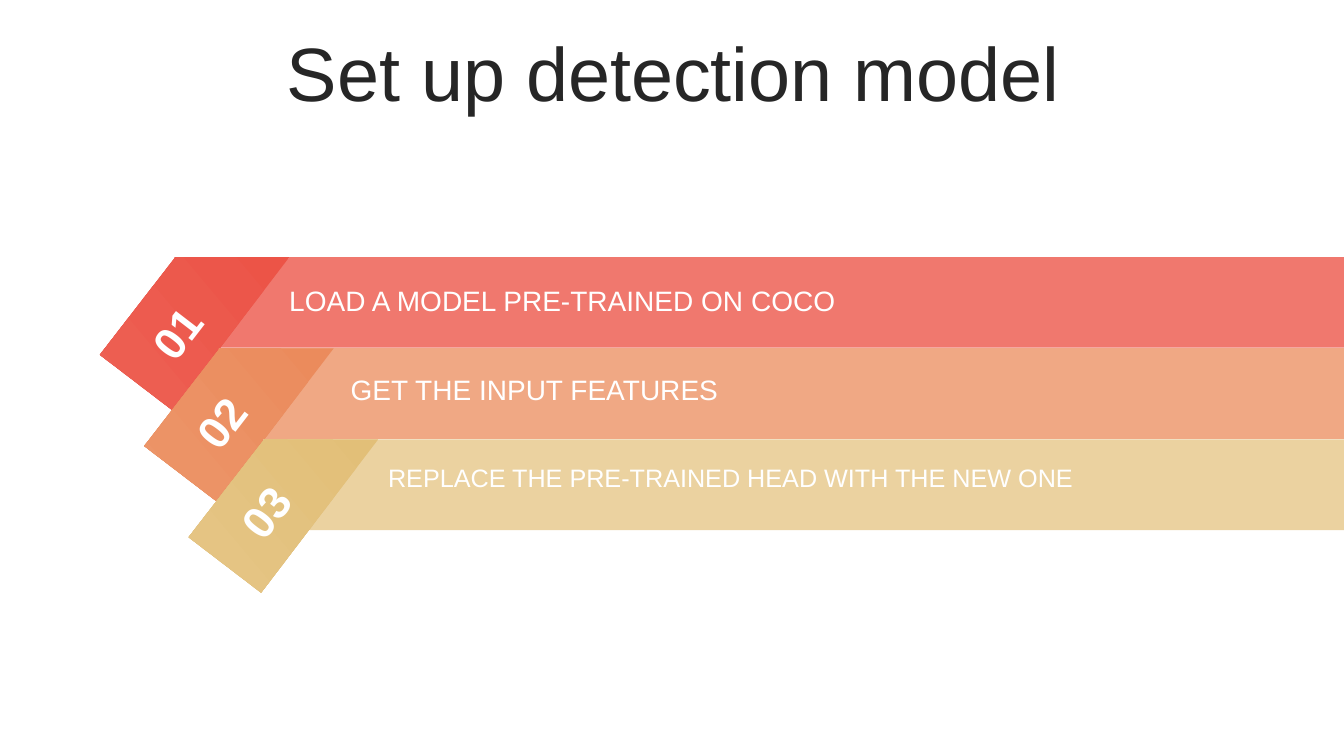
from dataclasses import dataclass
from typing import Any

from pptx import Presentation
from pptx.dml.color import RGBColor
from pptx.enum.shapes import MSO_SHAPE
from pptx.enum.text import MSO_ANCHOR, PP_ALIGN
from pptx.util import Inches, Pt

WHITE = RGBColor(0xFF, 0xFF, 0xFF)
INK = RGBColor(0x26, 0x26, 0x26)
CORAL = RGBColor(0xF0, 0x78, 0x6E)
RED_DEEP = RGBColor(0xEC, 0x54, 0x47)
RED = RGBColor(0xED, 0x60, 0x54)
PEACH = RGBColor(0xF0, 0xA8, 0x84)
ORANGE_DEEP = RGBColor(0xEB, 0x8B, 0x5C)
ORANGE = RGBColor(0xEC, 0x95, 0x69)
SAND = RGBColor(0xEB, 0xD2, 0xA0)
GOLD_DEEP = RGBColor(0xE2, 0xBF, 0x78)
GOLD = RGBColor(0xE5, 0xC5, 0x85)

# Grid in inches: each step moves one column right and one row down
PAGE_WIDTH, PAGE_HEIGHT = 13.33, 7.5
COLUMN, ROW, TEXT_ROW = 0.44, 0.905, 0.89
BAR_LEFT, BAR_TOP, BAR_HEIGHT = 1.73, 2.55, 0.9
TAB_LEFT = 0.99
TAB_OUTLINE = [(0, 0.97), (0.72, 1.52), (1.88, 0), (0.75, 0)]
NUMBER_LEFT, NUMBER_TOP = 1.22, 2.98
CAPTION_TOP = 2.76


@dataclass(frozen=True)
class Step:
    caption: str
    caption_left: float
    caption_size: int
    bar: RGBColor
    tab_colors: tuple[RGBColor, RGBColor]


STEPS = [
    Step("LOAD A MODEL PRE-TRAINED ON COCO", 2.77, 20, CORAL, (RED_DEEP, RED)),
    Step("GET THE INPUT FEATURES", 3.38, 20, PEACH, (ORANGE_DEEP, ORANGE)),
    Step("REPLACE THE PRE-TRAINED HEAD WITH THE NEW ONE", 3.75, 18, SAND, (GOLD_DEEP, GOLD)),
]


def write(box: Any, text: str, align: PP_ALIGN, size: int, color: RGBColor, bold: bool = False) -> None:
    box.text_frame.word_wrap = True
    para = box.text_frame.paragraphs[0]
    para.alignment = align
    span = para.add_run()
    span.text = text
    for name, value in {"name": "Arial", "size": Pt(size), "bold": bold}.items():
        setattr(span.font, name, value)
    span.font.color.rgb = color


def draw_title(page: Any, text: str) -> None:
    title = page.shapes.title
    place = {"left": 0.35, "top": 0.37, "width": 12.66, "height": 0.79}
    for name, value in place.items():
        setattr(title, name, Inches(value))
    title.text_frame.vertical_anchor = MSO_ANCHOR.MIDDLE
    write(title, text, PP_ALIGN.CENTER, 54, INK)
    title.text_frame.paragraphs[0].line_spacing = 0.9


def draw_band(page: Any, index: int, step: Step) -> None:
    band = page.shapes.add_group_shape()
    shift = index * COLUMN
    top = BAR_TOP + index * ROW

    # Bar running to the right edge of the slide
    left = BAR_LEFT + shift
    bar = band.shapes.add_shape(
        MSO_SHAPE.RECTANGLE, Inches(left), Inches(top), Inches(PAGE_WIDTH - left), Inches(BAR_HEIGHT)
    )
    bar.fill.solid()
    bar.fill.fore_color.rgb = step.bar

    # Slanted tab with a gradient
    corners = [(Inches(TAB_LEFT + shift + x), Inches(top + y)) for x, y in TAB_OUTLINE]
    outline = band.shapes.build_freeform(*corners[0])
    outline.add_line_segments(corners[1:], close=True)
    tab = outline.convert_to_shape()
    tab.fill.gradient()
    tab.fill.gradient_angle = 220
    for stop, color in zip(tab.fill.gradient_stops, step.tab_colors):
        stop.color.rgb = color

    for shape in (bar, tab):
        shape.line.fill.background()
        shape.shadow.inherit = False


def draw_texts(page: Any, index: int, step: Step) -> None:
    drop = index * TEXT_ROW
    number = page.shapes.add_textbox(
        Inches(NUMBER_LEFT + index * COLUMN), Inches(NUMBER_TOP + drop), Inches(1.06), Inches(0.64)
    )
    number.rotation = 307.5
    write(number, f"{index + 1:02}", PP_ALIGN.CENTER, 32, WHITE, bold=True)

    caption = page.shapes.add_textbox(
        Inches(step.caption_left), Inches(CAPTION_TOP + drop), Inches(7.41), Inches(0.5)
    )
    write(caption, step.caption, PP_ALIGN.LEFT, step.caption_size, WHITE)


def main() -> None:
    deck = Presentation()
    deck.slide_width, deck.slide_height = Inches(PAGE_WIDTH), Inches(PAGE_HEIGHT)
    page = deck.slides.add_slide(deck.slide_layouts.get_by_name("Title Only"))
    draw_title(page, "Set up detection model")
    # Bands first, so that the texts lie on top of all of them
    for draw in (draw_band, draw_texts):
        for index, step in enumerate(STEPS):
            draw(page, index, step)
    deck.save("out.pptx")


if __name__ == "__main__":
    main()
